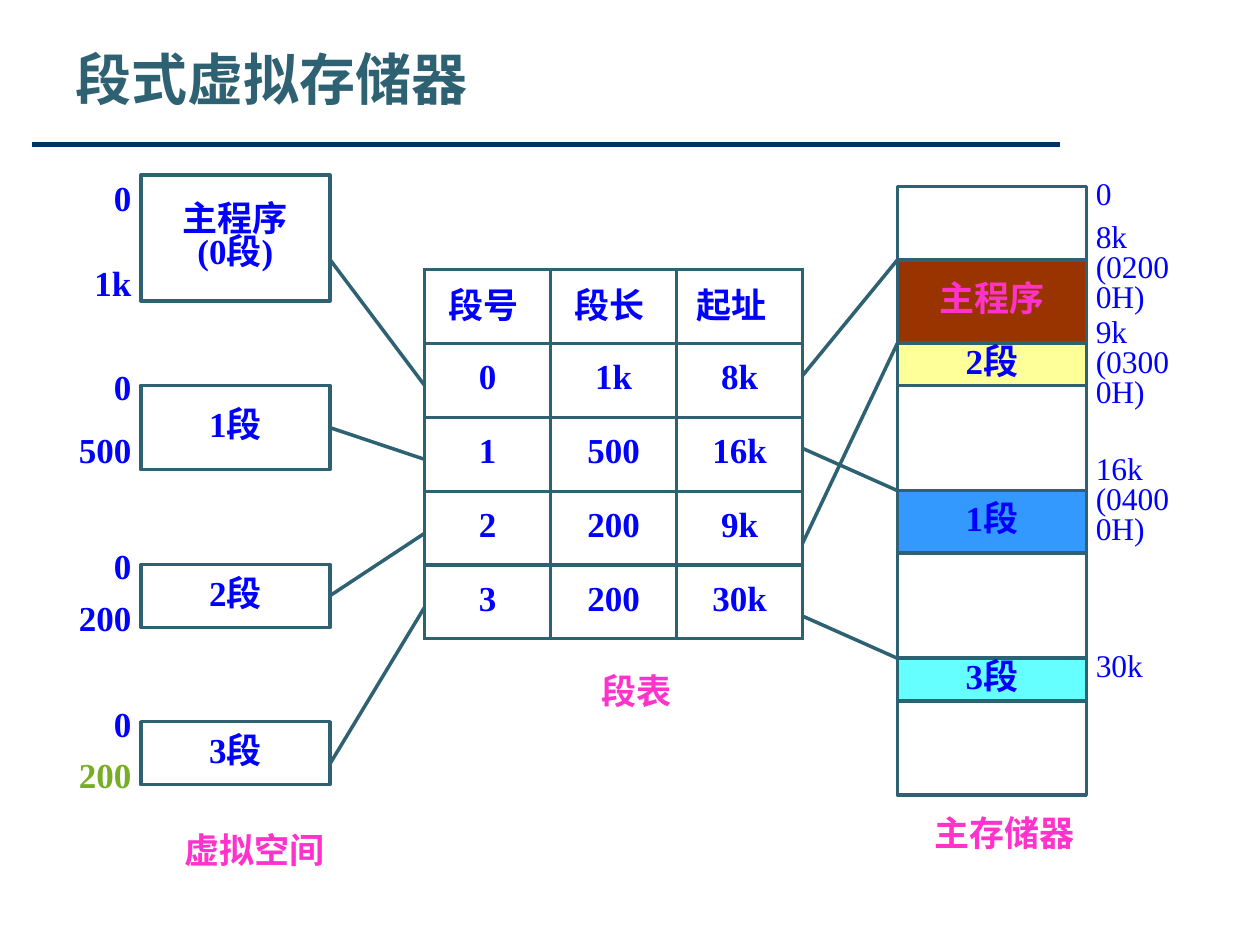
from lxml import etree
from pptx import Presentation
from pptx.dml.color import RGBColor
from pptx.enum.shapes import MSO_CONNECTOR, MSO_SHAPE
from pptx.enum.text import MSO_ANCHOR, PP_ALIGN
from pptx.oxml.ns import qn
from pptx.util import Cm, Pt

LEFT, CENTER, RIGHT = PP_ALIGN.LEFT, PP_ALIGN.CENTER, PP_ALIGN.RIGHT
TOP, MIDDLE = MSO_ANCHOR.TOP, MSO_ANCHOR.MIDDLE
RECTANGLE, STRAIGHT = MSO_SHAPE.RECTANGLE, MSO_CONNECTOR.STRAIGHT

TEAL = RGBColor(0x2E, 0x62, 0x72)
NAVY = RGBColor(0x00, 0x33, 0x66)
BLUE = RGBColor(0x00, 0x00, 0xFF)
PINK = RGBColor(0xFF, 0x33, 0xCC)
GREEN = RGBColor(0x77, 0xAE, 0x26)
BROWN = RGBColor(0x99, 0x33, 0x00)
YELLOW = RGBColor(0xFF, 0xFF, 0x99)
SKY = RGBColor(0x33, 0x99, 0xFF)
CYAN = RGBColor(0x66, 0xFF, 0xFF)

FONT = "Times New Roman"
BOX_WIDTH = 3.81
SPACE_LEFT, TABLE_LEFT, MEMORY_LEFT = 2.84, 8.56, 18.09
TABLE_TOP, COLUMN_WIDTH, ROW_HEIGHT = 5.43, 2.54, 1.49
FRAME = {"word_wrap": False, "vertical_anchor": MIDDLE,
         "margin_left": Cm(0.2), "margin_right": Cm(0.2),
         "margin_top": Cm(0.1), "margin_bottom": Cm(0.1)}


def write_text(text_frame, text, alignment=CENTER, color=BLUE, size=20, bold=True):
    text_frame.text = text
    font_format = {"name": FONT, "size": Pt(size), "bold": bold}
    for paragraph in text_frame.paragraphs:
        paragraph.alignment = alignment
        paragraph.line_spacing = 0.8
        for run in paragraph.runs:
            for name, value in font_format.items():
                setattr(run.font, name, value)
            run.font.color.rgb = color


def add_box(left, top, width, height, text="", outlined=False, fill=None, **text_format):
    position = Cm(left), Cm(top), Cm(width), Cm(height)
    if outlined:
        shape = slide.shapes.add_shape(RECTANGLE, *position)
        shape.shadow.inherit = False
        shape.line.color.rgb = TEAL
        shape.line.width = Pt(2)
        if fill:
            shape.fill.solid()
            shape.fill.fore_color.rgb = fill
        else:
            shape.fill.background()
    else:
        shape = slide.shapes.add_textbox(*position)
    for name, value in FRAME.items():
        setattr(shape.text_frame, name, value)
    if text:
        write_text(shape.text_frame, text, **text_format)


presentation = Presentation()
presentation.slide_width, presentation.slide_height = Cm(25.4), Cm(19.05)
slide = presentation.slides.add_slide(presentation.slide_layouts[5])

# Title
title = slide.shapes.title
title.left, title.top, title.width, title.height = Cm(1.27), Cm(0.76), Cm(22.86), Cm(3.18)
title.text_frame.vertical_anchor = TOP
write_text(title.text_frame, "段式虚拟存储器", LEFT, TEAL, 32)
title.text_frame.paragraphs[0].line_spacing = 1.0

# Virtual space: segments, each with its first and last address
segments = [
    ("主程序\v(0段)", 3.53, 2.54, "0", 3.33, "1k", 5.03, BLUE),
    ("1段", 7.77, 1.7, "0", 7.14, "500", 8.41, BLUE),
    ("2段", 11.38, 1.27, "0", 10.74, "200", 11.79, BLUE),
    ("3段", 14.55, 1.27, "0", 13.92, "200", 14.96, GREEN),
]
for name, top, height, start, start_top, end, end_top, end_color in segments:
    add_box(SPACE_LEFT, top, BOX_WIDTH, height, name, outlined=True)
    add_box(0.74, start_top, 2.11, 1.47, start, alignment=RIGHT)
    add_box(0.74, end_top, 2.11, 1.47, end, alignment=RIGHT, color=end_color)

# Main memory: stacked blocks, each reaching down to the next
blocks = [
    (3.76, "", None, BLUE),
    (5.24, "主程序", BROWN, PINK),
    (6.92, "2段", YELLOW, BLUE),
    (7.77, "", None, BLUE),
    (9.89, "1段", SKY, BLUE),
    (11.15, "", None, BLUE),
    (13.27, "3段", CYAN, BLUE),
    (14.13, "", None, BLUE),
]
bottoms = [block[0] for block in blocks[1:]] + [16.03]
for (top, name, fill, color), bottom in zip(blocks, bottoms):
    add_box(MEMORY_LEFT, top, BOX_WIDTH, bottom - top, name,
            outlined=True, fill=fill, color=color)

addresses = [("0", 3.33), ("8k\n(02000H)", 4.8), ("9k\n(03000H)", 6.71),
             ("16k\n(04000H)", 9.47), ("30k", 12.85)]
for address, top in addresses:
    add_box(21.89, top, 2.11, 1.27, address, alignment=LEFT, size=18, bold=False)

# Segment table
rows = [
    ("段号", "段长", "起址"),
    ("0", "1k", "8k"),
    ("1", "500", "16k"),
    ("2", "200", "9k"),
    ("3", "200", "30k"),
]
header_right_margins = (0.36, 0.36, 0.52)
table = slide.shapes.add_table(
    len(rows), 3, Cm(TABLE_LEFT), Cm(TABLE_TOP),
    Cm(3 * COLUMN_WIDTH), Cm(len(rows) * ROW_HEIGHT)).table
table.first_row = table.horz_banding = False
for column in table.columns:
    column.width = Cm(COLUMN_WIDTH)
for row_index, row in enumerate(rows):
    table.rows[row_index].height = Cm(ROW_HEIGHT)
    for column_index, text in enumerate(row):
        cell = table.cell(row_index, column_index)
        cell.vertical_anchor = MIDDLE
        cell.margin_left = Cm(0.2)
        cell.margin_right = Cm(0.2 if row_index else header_right_margins[column_index])
        cell.fill.background()
        write_text(cell.text_frame, text)
        properties = cell._tc.get_or_add_tcPr()
        for index, side in enumerate(("a:lnL", "a:lnR", "a:lnT", "a:lnB")):
            border = etree.Element(qn(side), w=str(Pt(2)))
            border_fill = etree.SubElement(border, qn("a:solidFill"))
            etree.SubElement(border_fill, qn("a:srgbClr"), val=str(TEAL))
            properties.insert(index, border)

# Title rule, then links from segments to table and from table to memory
lines = [(0.64, 2.92, 21.36, 2.92, NAVY, 3)]
for index in range(4):
    lines.append((SPACE_LEFT + BOX_WIDTH, 5.23 + 3.39 * index,
                  TABLE_LEFT, 7.77 + ROW_HEIGHT * index, TEAL, 2))
for start_top, end_top in [(7.57, 5.24), (9.04, 9.89), (10.95, 6.92), (12.42, 13.27)]:
    lines.append((TABLE_LEFT + 3 * COLUMN_WIDTH, start_top, MEMORY_LEFT, end_top, TEAL, 2))
for start_left, start_top, end_left, end_top, color, width in lines:
    connector = slide.shapes.add_connector(
        STRAIGHT, Cm(start_left), Cm(start_top), Cm(end_left), Cm(end_top))
    connector.line.color.rgb = color
    connector.line.width = Pt(width)
    etree.SubElement(connector._element.spPr, qn("a:effectLst"))

# Captions
captions = [("虚拟空间", 3.4, 16.66, 3.48, 1.07),
            ("主存储器", 17.6, 16.23, 5.31, 1.27),
            ("段表", 10.51, 13.36, 4.65, 1.27)]
for text, *position in captions:
    add_box(*position, text, color=PINK)

presentation.save("out.pptx")
